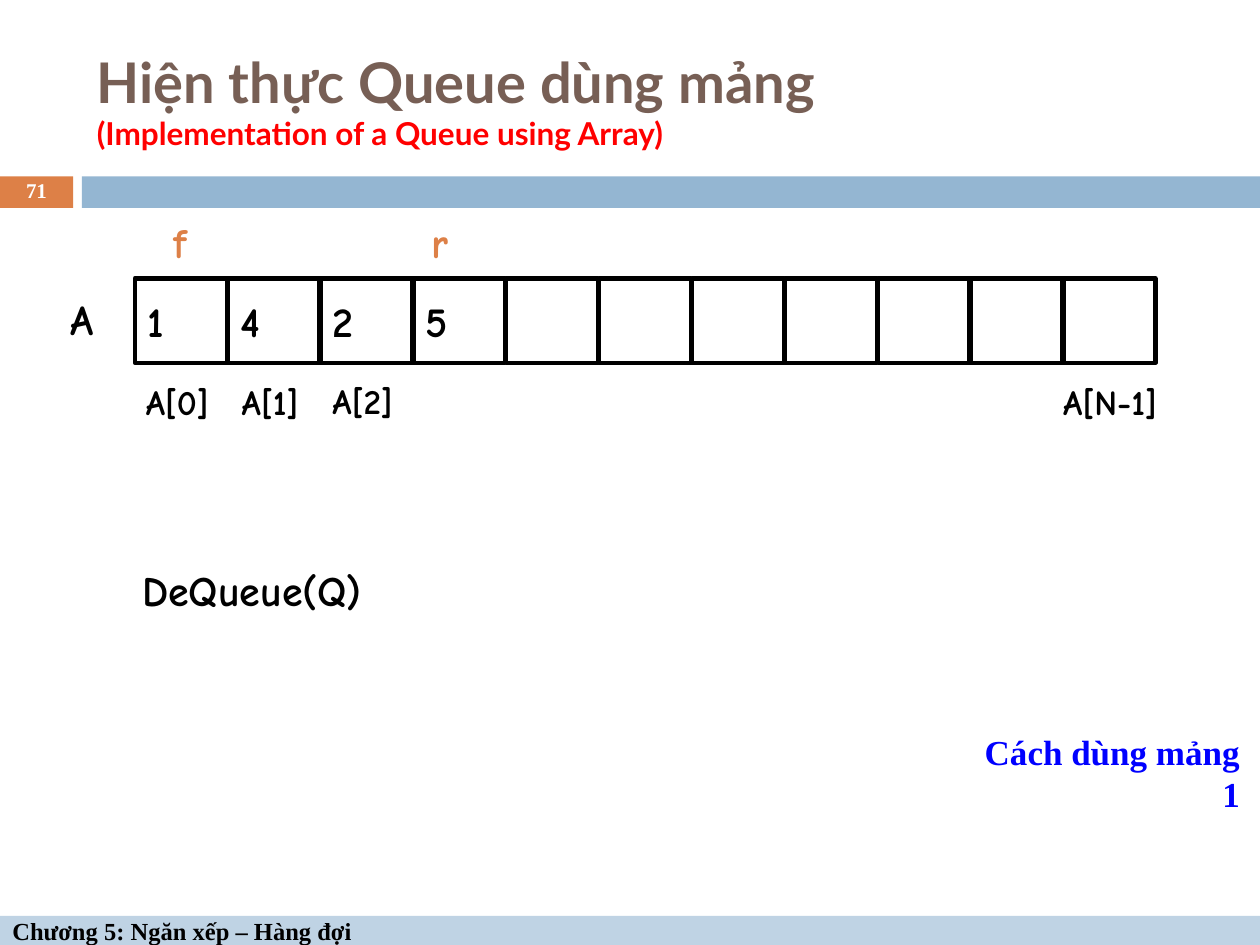
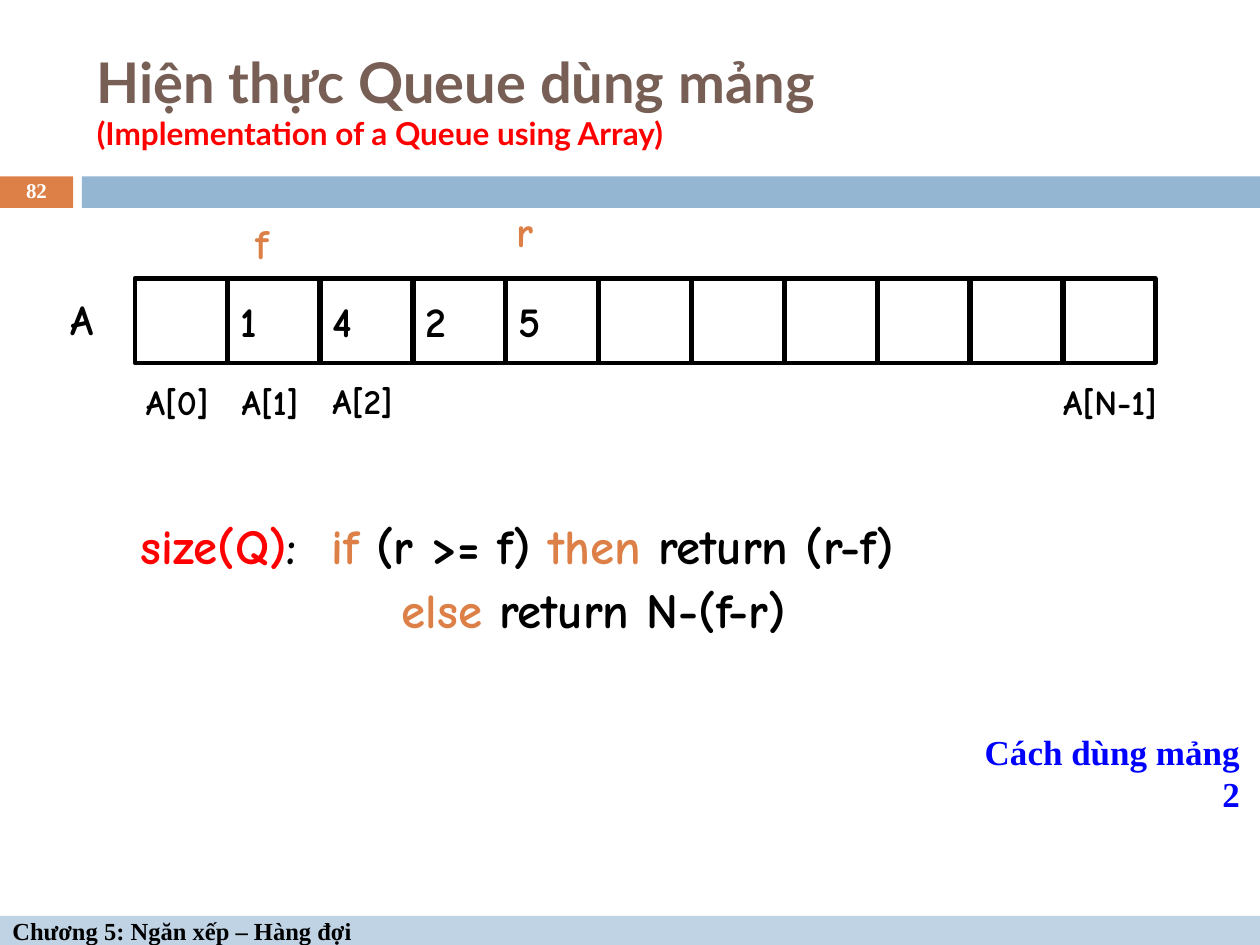
"""Build two slides that show a queue held in an array."""
from pptx import Presentation
from pptx.dml.color import RGBColor
from pptx.enum.shapes import MSO_SHAPE
from pptx.enum.text import MSO_ANCHOR, MSO_AUTO_SIZE, PP_ALIGN
from pptx.util import Inches, Pt

RECTANGLE = MSO_SHAPE.RECTANGLE
MIDDLE, TOP = MSO_ANCHOR.MIDDLE, MSO_ANCHOR.TOP
GROW = MSO_AUTO_SIZE.SHAPE_TO_FIT_TEXT
LEFT, CENTER, RIGHT = PP_ALIGN.LEFT, PP_ALIGN.CENTER, PP_ALIGN.RIGHT

BLACK, WHITE, RED, BLUE = "000000", "FFFFFF", "FF0000", "0000FF"
ORANGE, BAND_BLUE, FOOTER_BLUE, BROWN = "DD8047", "94B6D2", "BFD3E4", "775F55"
COMIC, LATO, TIMES = "Comic Neue", "Lato", "Times New Roman"

CELL_COUNT = 11
FIRST_CELL, LAST_CELL = 1.07, 8.44
CELL_PITCH = (LAST_CELL - FIRST_CELL) / (CELL_COUNT - 1)

INDEX_LABELS = [
    ("A[0]", 1.06, 2.97, 1.03),
    ("A[1]", 1.82, 2.97, 1.01),
    ("A[2]", 2.54, 2.96, 0.88),
    ("A[N-1]", 8.34, 2.97, 1.54),
]

SLIDES = [
    {
        "number": "71",
        "values": ["1", "4", "2", "5"],
        "markers": [("f", 1.28, 1.67), ("r", 3.33, 1.67)],
        "operation": [[("DeQueue(Q)", BLACK)]],
        "operation_box": (1.03, 4.43, 8.85, 0.5),
        "operation_size": 24,
        "method": "Cách dùng mảng 1",
    },
    {
        "number": "82",
        "values": ["", "1", "4", "2", "5"],
        "markers": [("f", 1.93, 1.68), ("r", 4, 1.58)],
        "operation": [
            [("size(Q)", RED), (":  ", BLACK), ("if", ORANGE),
             (" (r >= f) ", BLACK), ("then", ORANGE), (" return (r-f)", BLACK)],
            [("else ", ORANGE), ("return N-(f-r)", BLACK)],
        ],
        "operation_box": (1.02, 4.04, 7.73, 1.05),
        "operation_size": 28,
        "method": "Cách dùng mảng 2",
    },
]


def add_box(slide, left, top, width, height, fill=None, line=None):
    box = slide.shapes.add_shape(
        RECTANGLE, Inches(left), Inches(top), Inches(width), Inches(height))
    box.shadow.inherit = False
    if fill:
        box.fill.solid()
        box.fill.fore_color.rgb = RGBColor.from_string(fill)
    else:
        box.fill.background()
    if line:
        box.line.color.rgb = RGBColor.from_string(line)
        box.line.width = Pt(2.5)
    else:
        box.line.fill.background()
    return box


def write(box, lines, size, font=COMIC, align=LEFT, anchor=TOP,
          before=0, wrap=True, grow=False):
    frame = box.text_frame
    frame.word_wrap = wrap
    frame.vertical_anchor = anchor
    if grow:
        frame.auto_size = GROW
    for position, line in enumerate(lines):
        paragraph = frame.add_paragraph() if position else frame.paragraphs[0]
        paragraph.alignment = align
        paragraph.space_before = Pt(before)
        for text, color, *own_size in line:
            run = paragraph.add_run()
            run.text = text
            run.font.name = font
            run.font.bold = True
            run.font.size = Pt(own_size[0] if own_size else size)
            run.font.color.rgb = RGBColor.from_string(color)
    return frame


deck = Presentation()
deck.slide_width, deck.slide_height = Inches(10), Inches(7.5)

for content in SLIDES:
    slide = deck.slides.add_slide(deck.slide_layouts[6])

    number_band = add_box(slide, 0, 1.4, 0.58, 0.25, ORANGE)
    number = write(number_band, [[(content["number"], WHITE)]], 12, TIMES, CENTER, MIDDLE)
    number.paragraphs[0].line_spacing = 0.8
    add_box(slide, 0.65, 1.4, 9.35, 0.25, BAND_BLUE)
    footer = add_box(slide, 0, 7.27, 10, 0.23, FOOTER_BLUE)
    write(footer, [[("Chương 5: Ngăn xếp – Hàng đợi", BLACK)]], 14, TIMES, anchor=MIDDLE)

    title = slide.shapes.add_textbox(Inches(0.67), Inches(0.25), Inches(8.92), Inches(1.08))
    write(title, [[("Hiện thực Queue dùng mảng", BROWN)],
                  [("(Implementation of a Queue using Array)", RED, 18)]],
          32, LATO, anchor=MIDDLE)

    for index in range(CELL_COUNT):
        cell = add_box(slide, FIRST_CELL + index * CELL_PITCH, 2.21, 0.73, 0.67, line=BLACK)
        if index < len(content["values"]) and content["values"][index]:
            write(cell, [[(content["values"][index], BLACK)]], 24, anchor=MIDDLE, wrap=False)

    labels = [("A", 0.46, 2.28, 0.76, 0.5, 24, BLACK)]
    labels += [(text, left, top, width, 0.44, 20, BLACK)
               for text, left, top, width in INDEX_LABELS]
    labels += [(text, left, top, 0.72, 0.5, 24, ORANGE)
               for text, left, top in content["markers"]]
    for text, left, top, width, height, size, color in labels:
        label = slide.shapes.add_textbox(Inches(left), Inches(top), Inches(width), Inches(height))
        write(label, [[(text, color)]], size, before=size * 0.625, grow=True)

    size = content["operation_size"]
    operation = slide.shapes.add_textbox(*map(Inches, content["operation_box"]))
    frame = write(operation, content["operation"], size, before=size * 0.625, grow=True)
    for branch in frame.paragraphs[1:]:
        branch.line_spacing = 0.5
        branch._p.get_or_add_pPr().set("marL", str(Inches(2.07)))

    method = slide.shapes.add_textbox(Inches(7.51), Inches(5.75), Inches(2.43), Inches(0.44))
    write(method, [[(content["method"], BLUE)]], 20, TIMES, RIGHT, wrap=False, grow=True)

deck.save("out.pptx")
